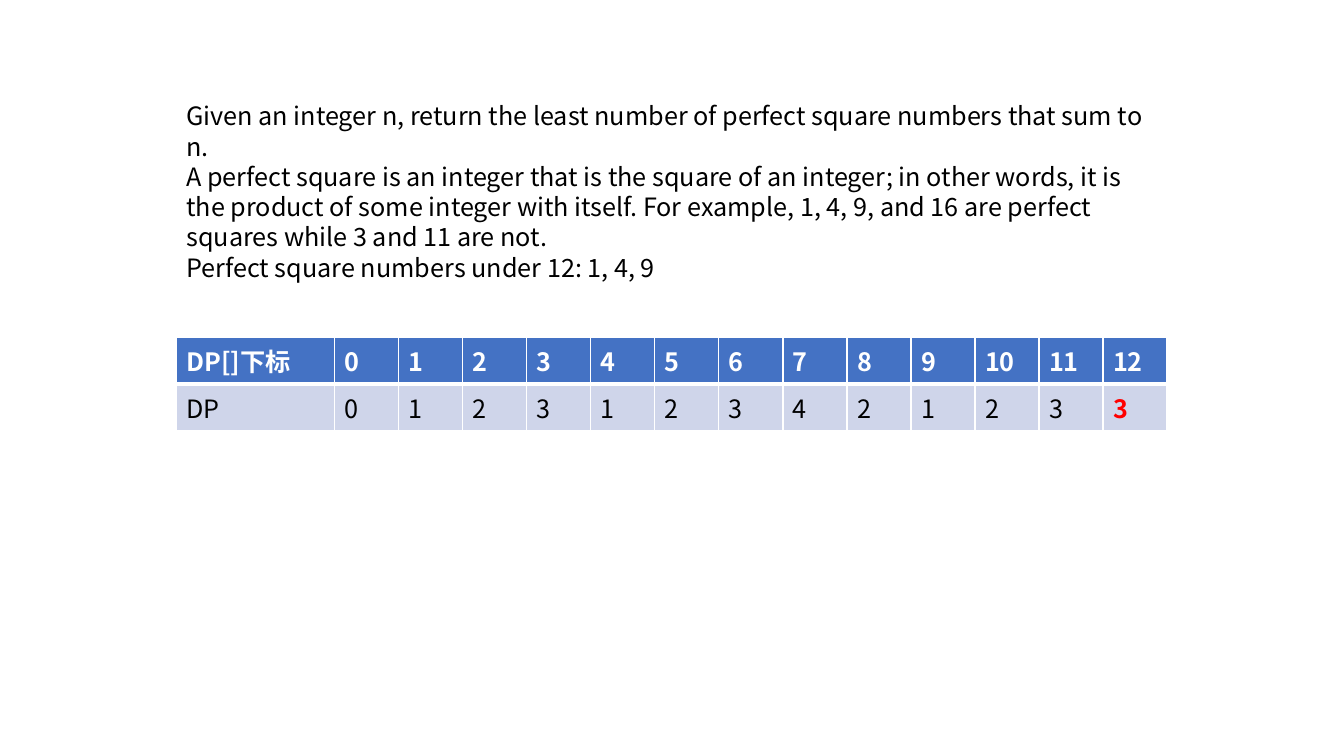
from dataclasses import dataclass

from lxml.etree import SubElement
from pptx import Presentation
from pptx.dml.color import RGBColor
from pptx.enum.text import MSO_AUTO_SIZE
from pptx.oxml.ns import qn
from pptx.util import Inches, Pt


@dataclass(frozen=True)
class Theme:
    """Colours, font and type size of the slide."""
    font: str = "Noto Sans CJK SC"
    size: int = 18
    text: str = "000000"
    inverse: str = "FFFFFF"
    answer: str = "FF0000"
    header_fill: str = "4472C4"
    body_fill: str = "CFD5EA"
    border: str = "FFFFFF"
    thin: int = 1
    thick: int = 3


class SlideBuilder:
    """Adds styled elements to one slide."""

    def __init__(self, slide, theme):
        self.slide = slide
        self.theme = theme

    def add_run(self, paragraph, text, color, bold=False):
        """Add one styled run to a paragraph."""
        run = paragraph.add_run()
        run.text = text
        font = run.font
        font.name = self.theme.font
        font.size = Pt(self.theme.size)
        font.bold = bold
        font.color.rgb = RGBColor.from_string(color)
        SubElement(font._element, qn("a:ea"), typeface=self.theme.font)

    def add_text(self, left, top, width, height, lines):
        """Add a wrapped text box with one paragraph per line."""
        box = self.slide.shapes.add_textbox(Inches(left), Inches(top), Inches(width), Inches(height))
        frame = box.text_frame
        frame.word_wrap = True
        frame.auto_size = MSO_AUTO_SIZE.SHAPE_TO_FIT_TEXT
        for index, line in enumerate(lines):
            paragraph = frame.add_paragraph() if index else frame.paragraphs[0]
            self.add_run(paragraph, line, self.theme.text)

    def set_borders(self, cell, widths):
        """Draw the cell borders, given as a width in points per side."""
        properties = cell._tc.get_or_add_tcPr()
        for position, (side, width) in enumerate(widths.items()):
            line = SubElement(properties, qn(f"a:ln{side}"), w=str(Pt(width)))
            fill = SubElement(line, qn("a:solidFill"))
            SubElement(fill, qn("a:srgbClr"), val=self.theme.border)
            properties.insert(position, line)

    def add_table(self, left, top, width, label_width, row_height, rows):
        """Add a table with a header row and the answer in the last cell."""
        theme = self.theme
        column_count = len(rows[0])
        frame = self.slide.shapes.add_table(
            len(rows), column_count, Inches(left), Inches(top),
            Inches(width), Inches(row_height * len(rows)))
        table = frame.table
        value_width = (width - label_width) / (column_count - 1)
        for index, column in enumerate(table.columns):
            column.width = Inches(value_width if index else label_width)
        for row_index, values in enumerate(rows):
            table.rows[row_index].height = Inches(row_height)
            is_header = row_index == 0
            for column_index, value in enumerate(values):
                cell = table.cell(row_index, column_index)
                is_answer = not is_header and column_index == column_count - 1
                color = theme.inverse if is_header else theme.answer if is_answer else theme.text
                self.add_run(cell.text_frame.paragraphs[0], str(value), color, is_header or is_answer)
                cell.fill.solid()
                cell.fill.fore_color.rgb = RGBColor.from_string(
                    theme.header_fill if is_header else theme.body_fill)
                self.set_borders(cell, {
                    "L": theme.thin,
                    "R": theme.thin,
                    "T": theme.thin if is_header else theme.thick,
                    "B": theme.thick if is_header else theme.thin,
                })


PROBLEM = [
    "Given an integer n, return the least number of perfect square numbers that sum to n.",
    "A perfect square is an integer that is the square of an integer; in other words, it is the "
    "product of some integer with itself. For example, 1, 4, 9, and 16 are perfect squares while "
    "3 and 11 are not.",
    "Perfect square numbers under 12: 1, 4, 9",
]
LEAST_COUNTS = [0, 1, 2, 3, 1, 2, 3, 4, 2, 1, 2, 3, 3]
ROWS = [["DP[]下标", *range(len(LEAST_COUNTS))], ["DP", *LEAST_COUNTS]]
LEFT, WIDTH = 1.75, 9.83

presentation = Presentation()
presentation.slide_width = Inches(13.33)
presentation.slide_height = Inches(7.5)
blank_layout = presentation.slide_layouts.get_by_name("Blank")
builder = SlideBuilder(presentation.slides.add_slide(blank_layout), Theme())
builder.add_text(LEFT, 0.95, WIDTH, 1.62, PROBLEM)
builder.add_table(LEFT, 3.35, WIDTH, 1.57, 0.46, ROWS)
presentation.save("out.pptx")
